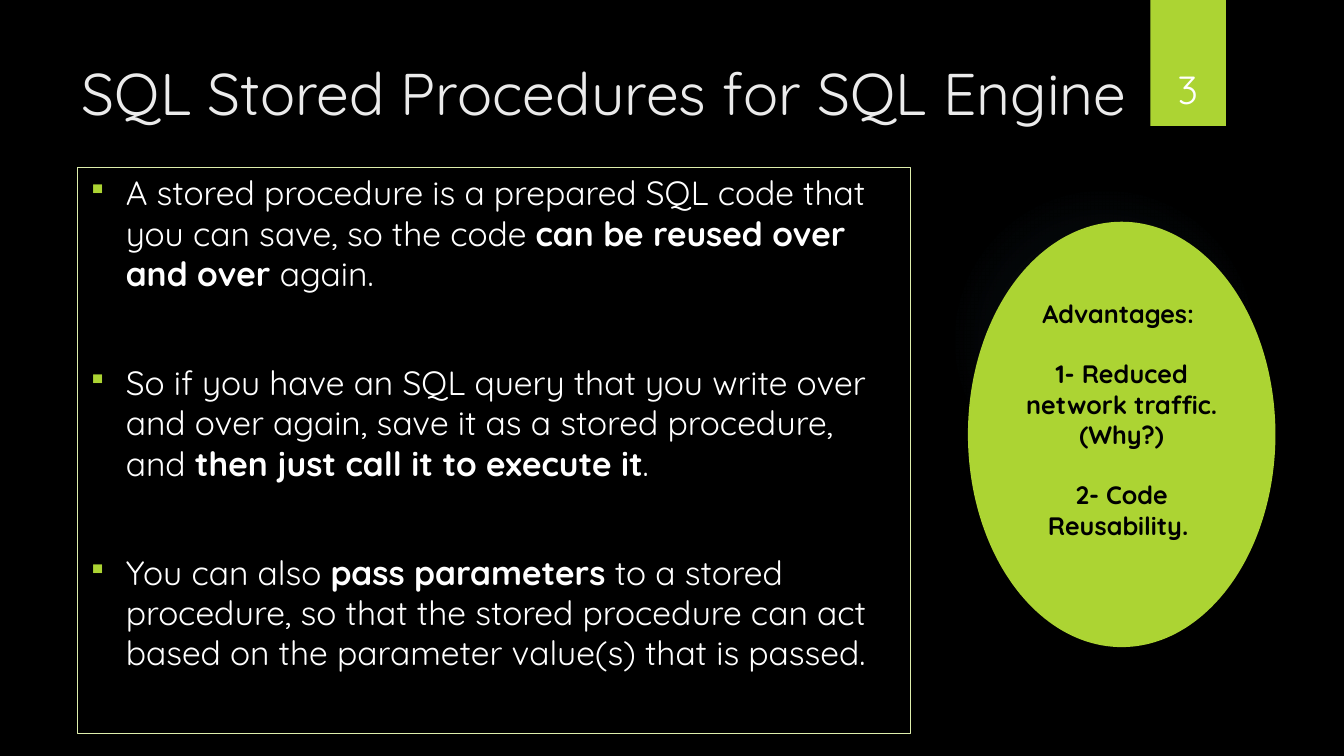
from dataclasses import dataclass

from lxml import etree
from pptx import Presentation
from pptx.dml.color import RGBColor
from pptx.enum.shapes import MSO_SHAPE
from pptx.enum.text import MSO_ANCHOR, MSO_AUTO_SIZE, PP_ALIGN
from pptx.oxml import parse_xml
from pptx.oxml.ns import nsdecls, qn
from pptx.util import Inches, Pt

OVAL, RECT = MSO_SHAPE.OVAL, MSO_SHAPE.RECTANGLE
TOP, MIDDLE, BOTTOM = MSO_ANCHOR.TOP, MSO_ANCHOR.MIDDLE, MSO_ANCHOR.BOTTOM
LEFT, CENTER = PP_ALIGN.LEFT, PP_ALIGN.CENTER


@dataclass(frozen=True)
class Theme:
    font: str = "Quicksand"
    back: str = "000000"
    lime: str = "ACD433"
    pale: str = "DEEEAD"
    glow: str = "7AC4F0"
    head: str = "EBEBEB"
    text: str = "FFFFFF"
    dark: str = "000000"
    title: int = 42
    number: int = 28
    body: int = 24
    note: int = 18


THEME = Theme()

TITLE = "SQL Stored Procedures for SQL Engine"
# Each point is a list of parts; every second part is bold
POINTS = [
    ["A stored procedure is a prepared SQL code that you can save, so the code ",
     "can be reused over and over ", "again."],
    ["So if you have an SQL query that you write over and over again, "
     "save it as a stored procedure, and ",
     "then just call it to execute it", "."],
    ["You can also ", "pass parameters ",
     "to a stored procedure, so that the stored procedure can act "
     "based on the parameter value(s) that is passed."],
]
NOTES = ["Advantages: ", "1- Reduced network traffic. (Why?)", "2- Code Reusability. "]


def rgb(code):
    return RGBColor.from_string(code)


def style(run, size, color, bold=False):
    run.font.name = THEME.font
    run.font.size = Pt(size)
    run.font.color.rgb = rgb(color)
    run.font.bold = bold


def set_frame(frame, anchor):
    frame.word_wrap = True
    frame.auto_size = MSO_AUTO_SIZE.NONE
    frame.vertical_anchor = anchor


def add_plain(slide, kind, box, color):
    shape = slide.shapes.add_shape(kind, *map(Inches, box))
    shape.shadow.inherit = False
    shape.fill.solid()
    shape.fill.fore_color.rgb = rgb(color)
    shape.line.fill.background()
    return shape


def add_bullet(para):
    props = para._p.get_or_add_pPr()
    props.set("marL", str(Inches(0.38)))
    props.set("indent", str(-Inches(0.38)))
    color = etree.SubElement(props, qn("a:buClr"))
    etree.SubElement(color, qn("a:srgbClr"), val=THEME.lime)
    etree.SubElement(props, qn("a:buSzPct"), val="80000")
    etree.SubElement(props, qn("a:buChar"), char="▪")


# Faint round glow behind the content
def add_glow(slide, box):
    shape = add_plain(slide, OVAL, box, THEME.glow)
    stops = "".join(
        f'<a:gs pos="{pos}000"><a:srgbClr val="{THEME.glow}">'
        f'<a:alpha val="{alpha}000"/></a:srgbClr></a:gs>'
        for pos, alpha in [(0, 7), (36, 6), (69, 0), (100, 0)])
    fill = parse_xml(
        f'<a:gradFill {nsdecls("a")}><a:gsLst>{stops}</a:gsLst>'
        '<a:path path="circle"><a:fillToRect l="50000" t="50000" '
        'r="50000" b="50000"/></a:path></a:gradFill>')
    props = shape._element.spPr
    props.replace(props.find(qn("a:solidFill")), fill)


# Title line
def add_title(slide, box):
    title = slide.shapes.title
    title.left, title.top, title.width, title.height = map(Inches, box)
    frame = title.text_frame
    frame.text = TITLE
    set_frame(frame, TOP)
    para = frame.paragraphs[0]
    para.alignment = LEFT
    style(para.runs[0], THEME.title, THEME.head)


# Lime tab with the page number
def add_tab(slide, box):
    left, top, width, height = box
    add_plain(slide, RECT, box, THEME.lime)
    area = (left - 0.09, top + 0.32, width + 0.17, height - 0.41)
    frame = slide.shapes.add_textbox(*map(Inches, area)).text_frame
    frame.text = "3"
    set_frame(frame, BOTTOM)
    para = frame.paragraphs[0]
    para.alignment = CENTER
    style(para.runs[0], THEME.number, THEME.text)


# Framed list of points
def add_points(slide, box):
    panel = slide.shapes.add_textbox(*map(Inches, box))
    panel.line.color.rgb = rgb(THEME.pale)
    panel.line.width = Pt(0.75)
    frame = panel.text_frame
    set_frame(frame, TOP)
    for i, parts in enumerate(POINTS):
        para = frame.add_paragraph() if i else frame.paragraphs[0]
        add_bullet(para)
        if i:
            para.space_before = Pt(49)
        for j, part in enumerate(parts):
            run = para.add_run()
            run.text = part
            style(run, THEME.body, THEME.text, j % 2 == 1)


# Oval with the advantages
def add_oval(slide, box):
    frame = add_plain(slide, OVAL, box, THEME.lime).text_frame
    frame.text = "\n".join(NOTES)
    set_frame(frame, MIDDLE)
    frame.margin_bottom = Inches(0.35)
    for i, para in enumerate(frame.paragraphs):
        para.alignment = CENTER
        if i:
            para.space_before = Pt(21.6)
        style(para.runs[0], THEME.note, THEME.dark, True)


def main():
    deck = Presentation()
    deck.slide_width, deck.slide_height = Inches(13.33), Inches(7.5)
    slide = deck.slides.add_slide(deck.slide_layouts[5])
    slide.background.fill.solid()
    slide.background.fill.fore_color.rgb = rgb(THEME.back)
    add_glow(slide, (9.41, 1.83, 3.08, 3.08))
    add_tab(slide, (11.41, 0, 0.75, 1.25))
    add_title(slide, (0.71, 0.51, 11.1, 1.1))
    add_points(slide, (0.77, 1.66, 8.26, 5.62))
    add_oval(slide, (9.6, 2.2, 3.05, 4.22))
    deck.save("out.pptx")


if __name__ == "__main__":
    main()
